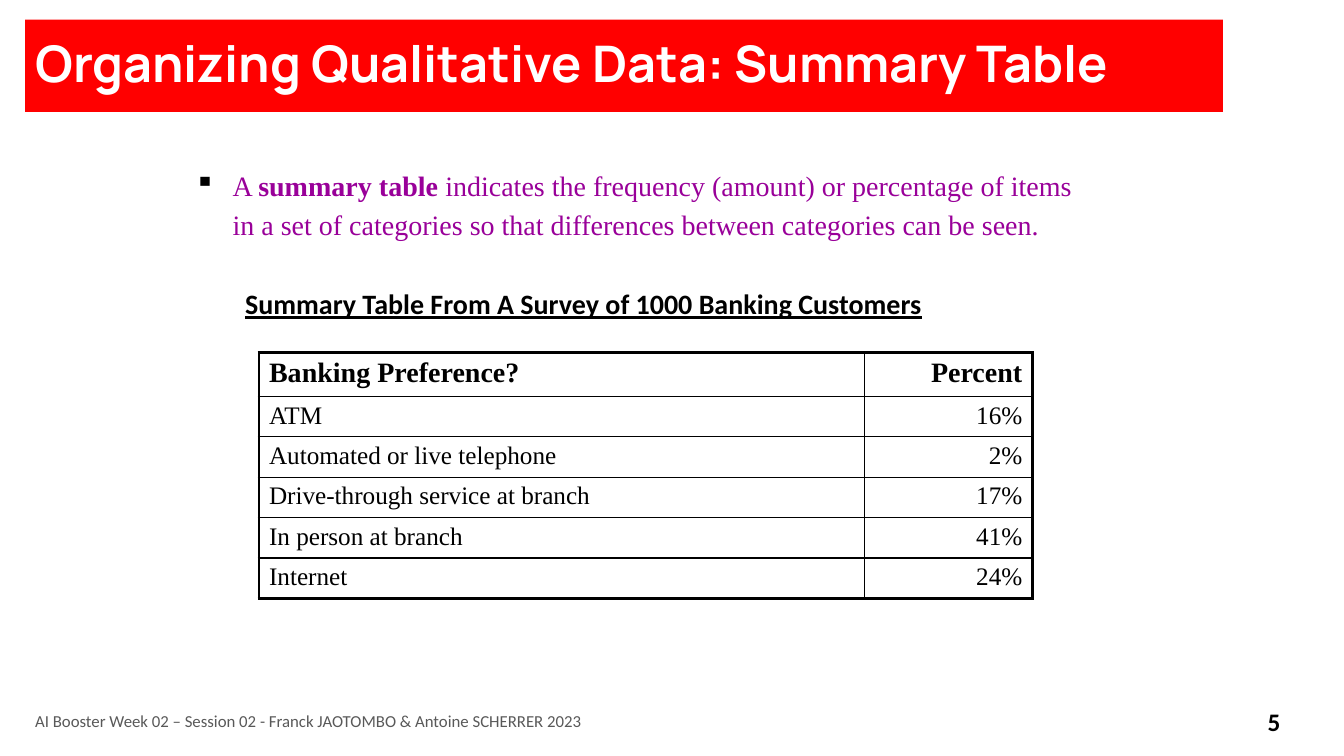
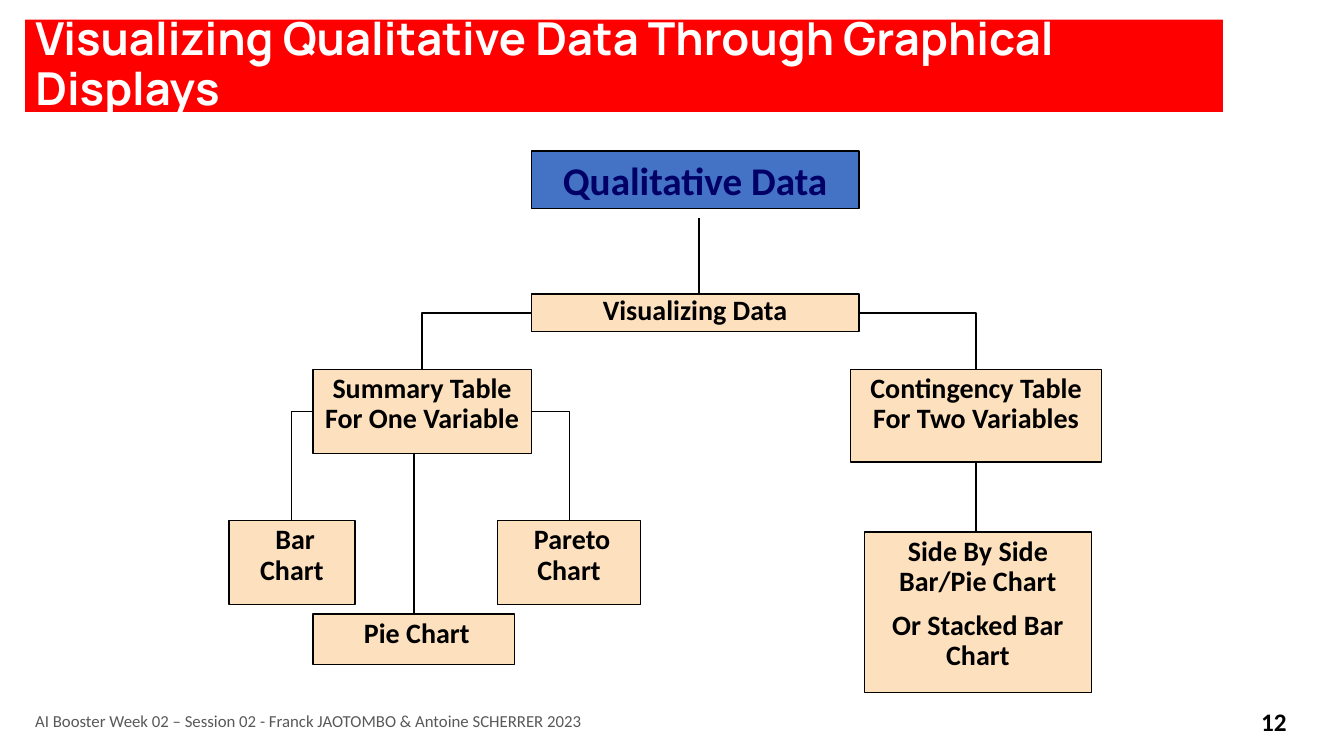
from lxml.etree import SubElement as Sub
from pptx import Presentation
from pptx.dml.color import RGBColor as RGB
from pptx.enum.shapes import MSO_CONNECTOR as Conn, MSO_SHAPE as Shape
from pptx.enum.text import MSO_ANCHOR as Anchor, MSO_AUTO_SIZE as Auto, PP_ALIGN as Align
from pptx.oxml.ns import qn
from pptx.util import Pt

HUES = {
    "red": "FF0000", "white": "FFFFFF", "black": "000000", "gray": "595959",
    "purple": "990099", "blue": "4472C4", "navy": "000066", "peach": "FDE0BD",
}
SANS, SERIF, HEAD = "Calibri", "Times New Roman", "Manrope"
FOOT = "AI Booster Week 02 – Session 02 - Franck JAOTOMBO & Antoine SCHERRER 2023"
TOP, LEFT, RIGHT = 0, 1, 3  # connection sites of a rectangle

ROWS = [
    ("Banking Preference?", "Percent"),
    ("ATM", "16%"),
    ("Automated or live telephone", "2%"),
    ("Drive-through service at branch", "17%"),
    ("In person at branch", "41%"),
    ("Internet", "24%"),
]


def hue(name):
    return RGB.from_string(HUES[name])


def style(run, size, color="black", bold=False, face=SANS):
    font = run.font
    font.size, font.bold, font.name = Pt(size), bold, face
    font.color.rgb = hue(color)


def fill(frame, text, size, color="black", bold=False, face=SANS,
         align=Align.LEFT, lead=None, gap=0):
    """Write text, one paragraph a line, with a gap between paragraphs."""
    frame.text = text
    for i, para in enumerate(frame.paragraphs):
        para.alignment = align
        para.space_before = Pt(gap if i else 0)
        if lead:
            para.line_spacing = lead
        for run in para.runs:
            style(run, size, color, bold, face)


def label(slide, area, text, size, anchor=Anchor.TOP, **look):
    frame = slide.shapes.add_textbox(*map(Pt, area)).text_frame
    frame.word_wrap = True
    frame.vertical_anchor = anchor
    fill(frame, text, size, **look)
    return frame.paragraphs[0]


def page(deck, title, size, number):
    """Slide with the title band, footer and page number."""
    slide = deck.slides.add_slide(deck.slide_layouts[5])
    band = slide.shapes.title
    band.left, band.top, band.width, band.height = map(Pt, (18, 14, 855.5, 66))
    band.fill.solid()
    band.fill.fore_color.rgb = hue("red")
    frame = band.text_frame
    frame.word_wrap, frame.auto_size = True, Auto.NONE
    frame.vertical_anchor = Anchor.MIDDLE
    fill(frame, title, size, "white", True, HEAD, lead=0.9)
    label(slide, (18, 500.5, 677, 29), FOOT, 12, Anchor.MIDDLE, color="gray")
    label(slide, (880, 500.5, 60, 29), str(number), 18, Anchor.MIDDLE,
          bold=True, align=Align.CENTER)
    return slide


def bullet(slide, area, parts):
    """Hanging bullet made of (text, look) runs."""
    para = label(slide, area, "", 20)
    for text, look in parts:
        run = para.add_run()
        run.text = text
        style(run, **look)
    props = para._p.get_or_add_pPr()
    props.set("marL", str(Pt(27)))
    props.set("indent", str(-Pt(27)))
    Sub(Sub(props, qn("a:buClr")), qn("a:srgbClr"), val=HUES["black"])
    Sub(props, qn("a:buChar"), char="▪")


def border(cell, edges):
    props = cell._tc.get_or_add_tcPr()
    for side, width in edges.items():
        line = Sub(props, qn("a:ln" + side), w=str(Pt(width)))
        Sub(Sub(line, qn("a:solidFill")), qn("a:srgbClr"), val=HUES["black"])


def grid(slide, left, top, widths, high, rows):
    """Table with a thick frame, thin inner rules and a bold first row."""
    last, end = len(rows) - 1, len(widths) - 1
    table = slide.shapes.add_table(
        len(rows), len(widths), Pt(left), Pt(top),
        Pt(sum(widths)), Pt(high * len(rows))).table
    table.first_row = table.horz_banding = False
    for col, width in zip(table.columns, widths):
        col.width = Pt(width)
    for r, row in enumerate(rows):
        for c, text in enumerate(row):
            cell = table.cell(r, c)
            fill(cell.text_frame, text, 18 if r else 20, bold=r == 0,
                 face=SERIF, align=Align.RIGHT if c else Align.LEFT)
            outer = {"L": c == 0, "R": c == end, "T": r == 0, "B": r == last}
            border(cell, {k: 2.25 if v else 1 for k, v in outer.items()})
            cell.fill.background()


def box(slide, area, text, size=20, back="peach", color="black", lead=0.9):
    shape = slide.shapes.add_shape(Shape.RECTANGLE, *map(Pt, area))
    shape.shadow.inherit = False
    shape.fill.solid()
    shape.fill.fore_color.rgb = hue(back)
    shape.line.color.rgb = hue("black")
    shape.line.width = Pt(1)
    frame = shape.text_frame
    frame.word_wrap = True
    frame.vertical_anchor = Anchor.TOP
    fill(frame, text, size, color, True, align=Align.CENTER, lead=lead, gap=10)
    return shape


def link(slide, kind, ends, width):
    line = slide.shapes.add_connector(kind, *map(Pt, ends))
    line.line.color.rgb = hue("black")
    line.line.width = Pt(width)
    Sub(line._element.spPr, qn("a:effectLst"))
    return line


def stem(slide, x, top, end):
    link(slide, Conn.STRAIGHT, (x, top, x, end), 1.5)


def elbow(slide, head, side, child, width):
    """One bend: out of the side of head, down to the top of child."""
    line = link(slide, Conn.ELBOW, (0, 0, 0, 0), width)
    line.begin_connect(head, side)
    line.end_connect(child, TOP)
    line._element.spPr.find(qn("a:prstGeom")).set("prst", "bentConnector2")


def survey(deck):
    slide = page(deck, "Organizing Qualitative Data: Summary Table", 36, 5)
    body = dict(size=20, color="purple", face=SERIF)
    bullet(slide, (132, 116.5, 660, 60), [
        ("A ", body),
        ("summary table ", dict(body, bold=True)),
        ("indicates the frequency (amount) or percentage of items in a set of "
         "categories so that differences between categories can be seen.", body),
        (" ", dict(size=24, color="purple")),
    ])
    head = label(slide, (168, 201, 582, 32),
                 "Summary Table From A Survey of 1000 Banking Customers", 20,
                 bold=True)
    head.runs[0].font.underline = True
    grid(slide, 185, 252, (432.5, 120), 25, ROWS)


def tree(deck):
    slide = page(deck, "Visualizing Qualitative Data Through Graphical Displays",
                 32.4, 12)
    # Boxes, level by level
    box(slide, (379.5, 108, 234, 41), "Qualitative Data", 28, "blue", "navy", 1)
    root = box(slide, (379.5, 210, 234, 27), "Visualizing Data", lead=0.8)
    one = box(slide, (223.5, 264, 156, 60), "Summary Table For One Variable")
    two = box(slide, (607.5, 264, 179.5, 66), "Contingency Table For Two Variables")
    bar, pareto = (
        box(slide, (x, 372, wide, 60), text)
        for x, wide, text in ((163.5, 90, " Bar\nChart"),
                              (355.5, 102, " Pareto\nChart")))
    for shape in (bar, pareto):
        shape.text_frame.paragraphs[1].space_before = Pt(0)
    box(slide, (223.5, 438.5, 144, 36), " Pie Chart")
    box(slide, (617.5, 380, 162, 114.5),
        "Side By Side Bar/Pie Chart\nOr Stacked Bar Chart")
    # Lines between them
    for x, top, end in ((499.5, 155.5, 210), (295.5, 324, 438.5), (697, 330, 380)):
        stem(slide, x, top, end)
    for head, left, right, width in ((root, one, two, 1.25),
                                     (one, bar, pareto, 0.75)):
        elbow(slide, head, LEFT, left, width)
        elbow(slide, head, RIGHT, right, width)


def main():
    deck = Presentation()
    deck.slide_width, deck.slide_height = Pt(960), Pt(540)
    survey(deck)
    tree(deck)
    deck.save("out.pptx")


if __name__ == "__main__":
    main()
